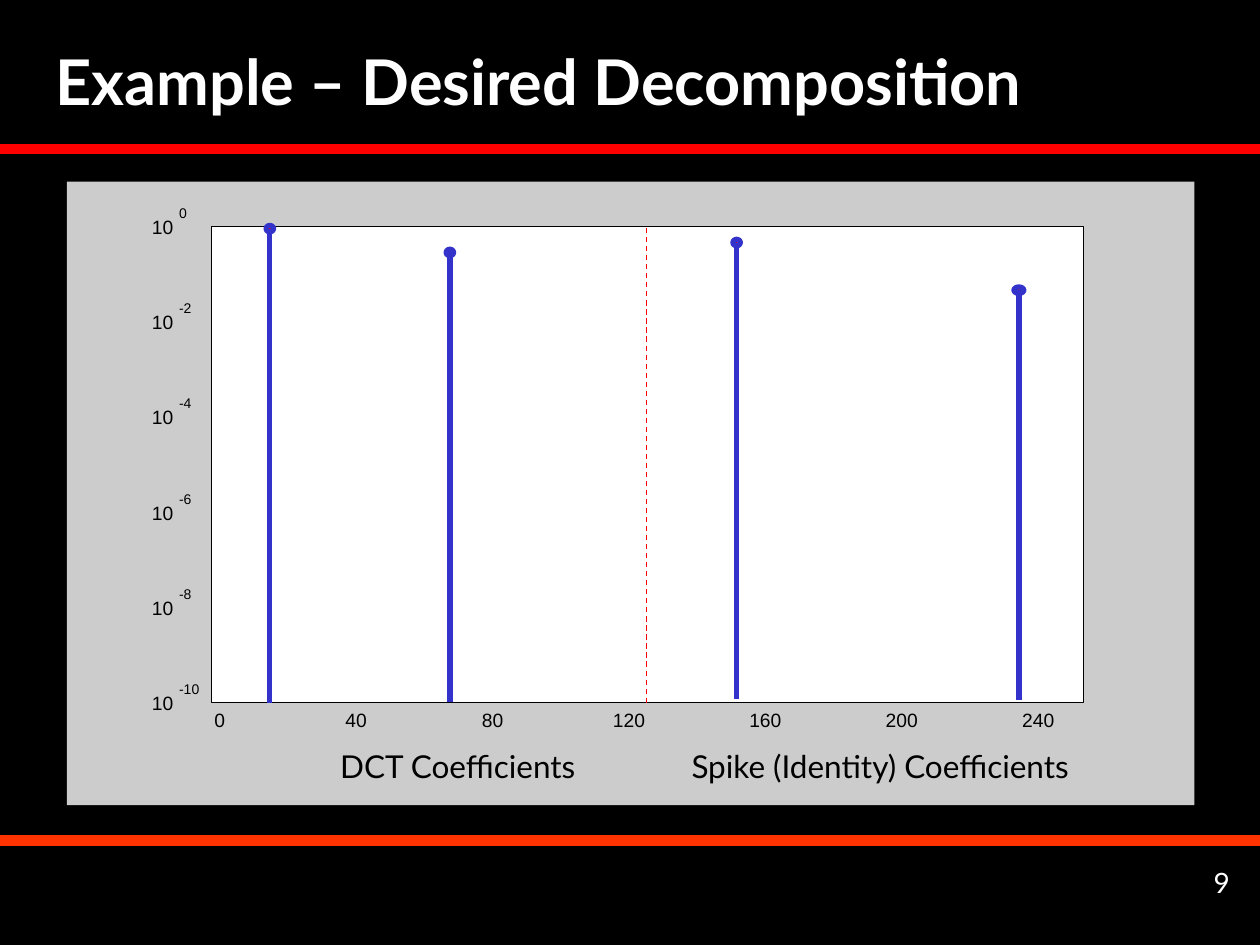
from dataclasses import dataclass
from lxml.etree import SubElement
from pptx import Presentation
from pptx.dml.color import RGBColor as RGB
from pptx.enum.dml import MSO_LINE as Dash
from pptx.enum.shapes import MSO_CONNECTOR as Link, MSO_SHAPE as Kind
from pptx.enum.text import MSO_ANCHOR as Anchor, PP_ALIGN as Align
from pptx.oxml.ns import qn
from pptx.util import Cm, Pt


@dataclass(frozen=True)
class Theme:
    back: str = "000000"
    ink: str = "000000"
    light: str = "FFFFFF"
    panel: str = "CCCCCC"
    rule: str = "FF0000"
    foot: str = "FF3300"
    stem: str = "3333CC"
    head: str = "Lato"
    label: str = "Arial"
    title: int = 36
    note: int = 18
    page: int = 16
    tick: int = 11
    power: int = 8
    thick: float = 6
    mid: float = 3
    thin: float = 0.75


class Board:
    def __init__(self, slide, theme):
        self.slide = slide
        self.theme = theme
        fill = slide.background.fill
        fill.solid()
        fill.fore_color.rgb = RGB.from_string(theme.back)

    def style(self, frame, text, size, face, color, align, bold=False):
        frame.text = text
        frame.word_wrap = True
        para = frame.paragraphs[0]
        para.alignment = align
        font = para.runs[0].font
        font.size, font.name, font.bold = Pt(size), face, bold
        font.color.rgb = RGB.from_string(color)

    def title(self, text, x, y, w, h):
        shape = self.slide.shapes.title
        shape.left, shape.top, shape.width, shape.height = Cm(x), Cm(y), Cm(w), Cm(h)
        frame = shape.text_frame
        frame.margin_left = Cm(1.12)
        frame.vertical_anchor = Anchor.MIDDLE
        t = self.theme
        self.style(frame, text, t.title, t.head, t.light, Align.LEFT, True)

    def text(self, text, x, y, w, h, size, face, color, align=Align.CENTER, tight=False):
        box = self.slide.shapes.add_textbox(Cm(x), Cm(y), Cm(w), Cm(h))
        frame = box.text_frame
        if tight:
            frame.margin_left = frame.margin_right = 0
            frame.margin_top = frame.margin_bottom = 0
        self.style(frame, text, size, face, color, align)

    def label(self, text, x, y, w, size, align=Align.CENTER):
        t = self.theme
        self.text(text, x, y, w, 0.45, size, t.label, t.ink, align, True)

    def shape(self, kind, x, y, w, h, fill, line=None, width=0):
        item = self.slide.shapes.add_shape(kind, Cm(x), Cm(y), Cm(w), Cm(h))
        item.shadow.inherit = False
        item.fill.solid()
        item.fill.fore_color.rgb = RGB.from_string(fill)
        if line:
            item.line.color.rgb = RGB.from_string(line)
            item.line.width = Pt(width)
        else:
            item.line.fill.background()

    def line(self, x1, y1, x2, y2, color, width, dash=None):
        item = self.slide.shapes.add_connector(Link.STRAIGHT, Cm(x1), Cm(y1), Cm(x2), Cm(y2))
        item.line.color.rgb = RGB.from_string(color)
        item.line.width = Pt(width)
        if dash:
            item.line.dash_style = dash
        SubElement(item._element.spPr, qn("a:effectLst"))

    def stem(self, x, top, base, w=0.15):
        t = self.theme
        h = 0.13
        self.shape(Kind.OVAL, x - w / 2, top - h / 2, w, h, t.rule, t.stem, t.mid)
        self.line(x, base, x, top, t.stem, t.mid)


def main():
    deck = Presentation()
    deck.slide_width, deck.slide_height = Cm(25.4), Cm(19.05)
    t = Theme()
    board = Board(deck.slides.add_slide(deck.slide_layouts[5]), t)

    board.line(0, 16.94, 25.4, 16.94, t.foot, t.thick)
    board.line(0, 3, 25.4, 3, t.rule, t.thick)
    board.title("Example – Desired Decomposition", 0, 0.43, 24.33, 2.36)

    board.shape(Kind.RECTANGLE, 1.35, 3.66, 22.73, 12.57, t.panel)
    board.shape(Kind.RECTANGLE, 4.27, 4.57, 17.58, 9.6, t.light, t.ink, t.thin)

    for i in range(7):
        board.label(str(40 * i), 3.93 + 2.75 * i, 14.27, 1, t.tick)
    for i in range(6):
        y = 4.34 + 1.92 * i
        board.label("10", 3.03, y, 0.5, t.tick)
        board.label(str(-2 * i), 3.61, y - 0.22, 0.5, t.power, Align.LEFT)

    for text, x, w in (("DCT Coefficients", 5.89, 6.68),
                       ("Spike (Identity) Coefficients", 12.78, 9.93)):
        board.text(text, x, 14.94, w, 1.02, t.note, t.head, t.ink)

    board.line(13.03, 4.6, 13.03, 14.17, t.rule, t.thin, Dash.DASH)
    for x, top, base, w in ((5.44, 4.61, 14.17, 0.15), (9.07, 5.09, 14.15, 0.15),
                            (14.85, 4.89, 14.1, 0.15), (20.54, 5.85, 14.12, 0.2)):
        board.stem(x, top, base, w)

    board.text("9", 19.76, 17.32, 5.28, 1.27, t.page, t.head, t.light, Align.RIGHT)
    deck.save("out.pptx")


if __name__ == "__main__":
    main()
